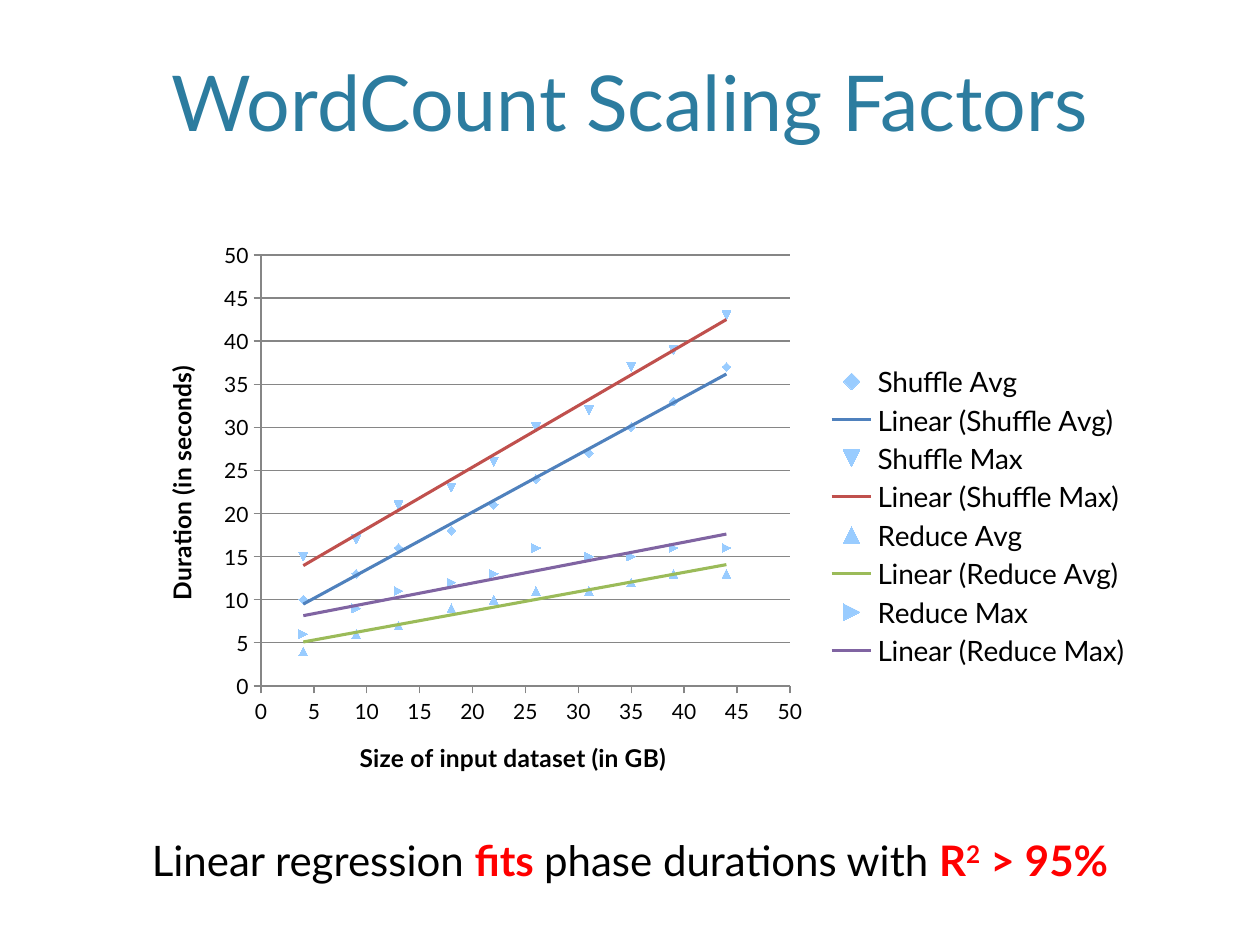
from lxml.etree import SubElement
from pptx import Presentation
from pptx.chart.data import XyChartData
from pptx.dml.color import RGBColor
from pptx.enum.chart import XL_CHART_TYPE, XL_LEGEND_POSITION, XL_TICK_MARK
from pptx.enum.text import MSO_ANCHOR, PP_ALIGN
from pptx.oxml import parse_xml
from pptx.oxml.ns import nsdecls, qn
from pptx.util import Emu, Pt

PX = 914400 // 126
FONT = "Lato"
BLACK = RGBColor(0x00, 0x00, 0x00)
TEAL = RGBColor(0x2C, 0x7C, 0x9F)
RED = RGBColor(0xFF, 0x00, 0x00)
GRAY = RGBColor(0x86, 0x86, 0x86)
MARKER_BLUE = RGBColor(0x99, 0xCC, 0xFF)
TREND_BLUE = RGBColor(0x4F, 0x81, 0xBD)
TREND_RED = RGBColor(0xC0, 0x50, 0x4D)
TREND_GREEN = RGBColor(0x9B, 0xBB, 0x59)
TREND_PURPLE = RGBColor(0x80, 0x64, 0xA2)

deck = Presentation()
deck.slide_width = Emu(1260 * PX)
deck.slide_height = Emu(945 * PX)
page = deck.slides.add_slide(deck.slide_layouts[6])


def style_font(font, size, color, bold=False):
    font.name = FONT
    font.size = Pt(size)
    font.color.rgb = color
    font.bold = bold


def add_centered_box(left, top, width, height, anchor):
    """Add a wrapping text box and return its centred first paragraph."""
    box = page.shapes.add_textbox(*(Emu(n * PX) for n in (left, top, width, height)))
    box.text_frame.word_wrap = True
    box.text_frame.vertical_anchor = anchor
    para = box.text_frame.paragraphs[0]
    para.alignment = PP_ALIGN.CENTER
    return para


# Title
title = add_centered_box(76, 16, 1108, 137, MSO_ANCHOR.BOTTOM)
title.text = "WordCount Scaling Factors"
style_font(title.runs[0].font, 44, TEAL)

# Scatter chart
dataset_sizes = [4, 9, 13, 18, 22, 26, 31, 35, 39, 44]
durations = [
    ("Shuffle Avg", TREND_BLUE, [10, 13, 16, 18, 21, 24, 27, 30, 33, 37]),
    ("Shuffle Max", TREND_RED, [15, 17, 21, 23, 26, 30, 32, 37, 39, 43]),
    ("Reduce Avg", TREND_GREEN, [4, 6, 7, 9, 10, 11, 11, 12, 13, 13]),
    ("Reduce Max", TREND_PURPLE, [6, 9, 11, 12, 13, 16, 15, 15, 16, 16]),
]
chart_data = XyChartData()
for name, _, seconds in durations:
    points = chart_data.add_series(name)
    for size, duration in zip(dataset_sizes, seconds):
        points.add_data_point(size, duration)

chart_left, chart_top, chart_width, chart_height = 137, 231, 1007, 570
chart = page.shapes.add_chart(
    XL_CHART_TYPE.XY_SCATTER,
    *(Emu(n * PX) for n in (chart_left, chart_top, chart_width, chart_height)),
    chart_data,
).chart
style_font(chart.font, 10, BLACK)
chart.has_title = False
chart.has_legend = True
chart.legend.position = XL_LEGEND_POSITION.RIGHT
chart.legend.include_in_layout = False
style_font(chart.legend.font, 16, BLACK)

for series, (_, trend_color, _) in zip(chart.plots[0].series, durations):
    series.format.line.fill.background()
    series.marker.format.fill.solid()
    series.marker.format.fill.fore_color.rgb = MARKER_BLUE
    series.marker.format.line.fill.background()
    trend_line = parse_xml(
        f'<c:trendline {nsdecls("c", "a")}><c:spPr><a:ln w="{Pt(1.75)}"><a:solidFill>'
        f'<a:srgbClr val="{trend_color}"/></a:solidFill></a:ln></c:spPr>'
        '<c:trendlineType val="linear"/><c:dispRSqr val="0"/><c:dispEq val="0"/></c:trendline>'
    )
    series._element.find(qn("c:xVal")).addprevious(trend_line)

for axis, axis_title in (
    (chart.category_axis, "Size of input dataset (in GB)"),
    (chart.value_axis, "Duration (in seconds)"),
):
    axis.minimum_scale = 0
    axis.maximum_scale = 50
    axis.major_unit = 5
    axis.major_tick_mark = XL_TICK_MARK.OUTSIDE
    axis.format.line.color.rgb = GRAY
    axis.format.line.width = Pt(0.75)
    style_font(axis.tick_labels.font, 12, BLACK)
    axis.tick_labels.number_format = "General"
    axis.tick_labels.number_format_is_linked = False
    para = axis.axis_title.text_frame.paragraphs[0]
    para.text = axis_title
    style_font(para.runs[0].font, 14, BLACK, bold=True)

chart.category_axis.has_major_gridlines = False
chart.value_axis.has_major_gridlines = True
grid_line = chart.value_axis.major_gridlines.format.line
grid_line.color.rgb = GRAY
grid_line.width = Pt(0.75)

# Inner plot area, as fractions of the chart
plot_area = chart._chartSpace.chart.plotArea
for old_layout in plot_area.findall(qn("c:layout")):
    plot_area.remove(old_layout)
layout = parse_xml(f'<c:layout {nsdecls("c")}/>')
plot_area.insert(0, layout)
manual = SubElement(layout, qn("c:manualLayout"))
for tag, value in (
    ("layoutTarget", "inner"),
    ("xMode", "edge"),
    ("yMode", "edge"),
    ("x", (261 - chart_left) / chart_width),
    ("y", (255 - chart_top) / chart_height),
    ("w", 529 / chart_width),
    ("h", 431 / chart_height),
):
    SubElement(manual, qn(f"c:{tag}")).set("val", str(value))

# Conclusion
conclusion = add_centered_box(0, 828, 1260, 63, MSO_ANCHOR.TOP)
for text, emphasized in (
    ("Linear regression ", False),
    ("fits ", True),
    ("phase durations with ", False),
    ("R", True),
    ("2", True),
    (" > 95%", True),
):
    span = conclusion.add_run()
    span.text = text
    style_font(span.font, 24, RED if emphasized else BLACK, emphasized)
    if text == "2":
        span.font._element.set("baseline", "30000")

deck.save("out.pptx")
